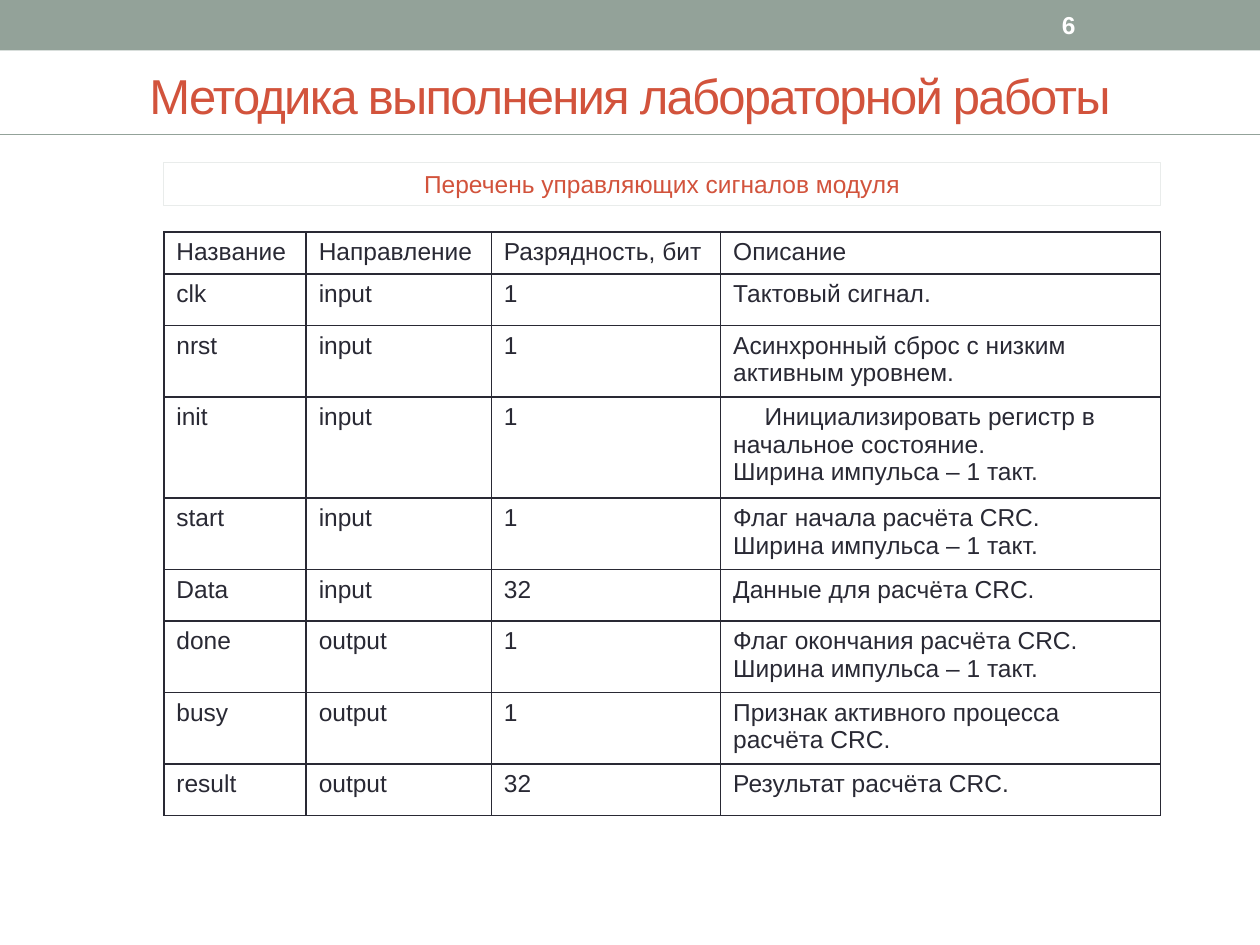
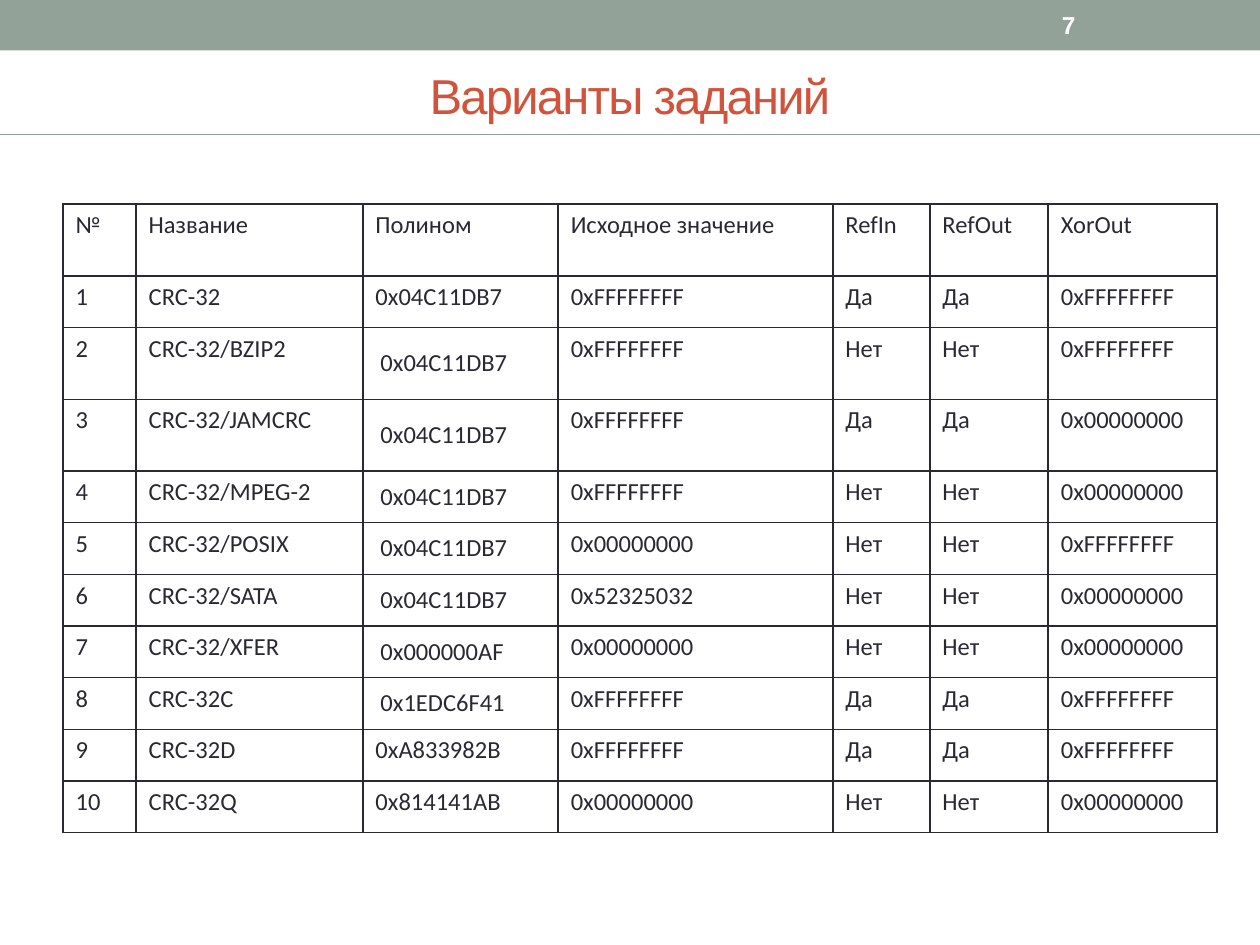
"""Build two slides of a CRC laboratory course: module signals and task variants."""
from lxml.etree import SubElement
from pptx import Presentation
from pptx.dml.color import RGBColor
from pptx.enum.shapes import MSO_CONNECTOR, MSO_SHAPE
from pptx.enum.text import MSO_ANCHOR, MSO_AUTO_SIZE, PP_ALIGN
from pptx.oxml.ns import qn
from pptx.util import Inches, Pt

SAGE = RGBColor(0x93, 0xA2, 0x99)
BRICK = RGBColor(0xD2, 0x53, 0x3C)
INK = RGBColor(0x29, 0x29, 0x34)
PALE = RGBColor(0xE9, 0xEC, 0xEB)
WHITE = RGBColor(0xFF, 0xFF, 0xFF)

TITLE_FONT = {"name": "Arial", "size": Pt(28), "bold": False}
NUMBER_FONT = {"name": "Arial", "size": Pt(14), "bold": True}
CAPTION_FONT = {"name": "Arial", "size": Pt(14), "bold": False}
POLYNOMIAL_INSET = {
    "margin_left": Inches(0.14), "margin_right": Inches(0.14),
    "margin_top": 0, "margin_bottom": 0, "vertical_anchor": MSO_ANCHOR.MIDDLE,
}

PULSE = "Ширина импульса – 1 такт."
SIGNALS = [
    ("Название", "Направление", "Разрядность, бит", "Описание"),
    ("clk", "input", "1", "Тактовый сигнал."),
    ("nrst", "input", "1", "Асинхронный сброс с низким активным уровнем."),
    ("init", "input", "1", f"Инициализировать регистр в начальное состояние. \n{PULSE}"),
    ("start", "input", "1", f"Флаг начала расчёта CRC. \n{PULSE}"),
    ("Data", "input", "32", "Данные для расчёта CRC."),
    ("done", "output", "1", f"Флаг окончания расчёта CRC. \n{PULSE}"),
    ("busy", "output", "1", "Признак активного процесса расчёта CRC."),
    ("result", "output", "32", "Результат расчёта CRC."),
]
ONES, ZEROS, COMMON = "0xFFFFFFFF", "0x00000000", "0x04C11DB7"
VARIANTS = [
    ("№", "Название", "Полином", "Исходное значение", "RefIn", "RefOut", "XorOut"),
    ("1", "CRC-32", COMMON, ONES, "Да", "Да", ONES),
    ("2", "CRC-32/BZIP2", COMMON, ONES, "Нет", "Нет", ONES),
    ("3", "CRC-32/JAMCRC", COMMON, ONES, "Да", "Да", ZEROS),
    ("4", "CRC-32/MPEG-2", COMMON, ONES, "Нет", "Нет", ZEROS),
    ("5", "CRC-32/POSIX", COMMON, ZEROS, "Нет", "Нет", ONES),
    ("6", "CRC-32/SATA", COMMON, "0x52325032", "Нет", "Нет", ZEROS),
    ("7", "CRC-32/XFER", "0x000000AF", ZEROS, "Нет", "Нет", ZEROS),
    ("8", "CRC-32C", "0x1EDC6F41", ONES, "Да", "Да", ONES),
    ("9", "CRC-32D", "0xA833982B", ONES, "Да", "Да", ONES),
    ("10", "CRC-32Q", "0x814141AB", ZEROS, "Нет", "Нет", ZEROS),
]
PAGES = [
    {"number": "6", "title": "Методика выполнения лабораторной работы",
     "rows": SIGNALS, "left": 1.3, "top": 1.84, "font": "Arial",
     "widths": [1.13, 1.47, 1.82, 3.49],
     "heights": [0.32, 0.41, 0.54, 0.76, 0.54, 0.41, 0.54, 0.54, 0.41]},
    {"number": "7", "title": "Варианты заданий",
     "rows": VARIANTS, "left": 0.5, "top": 1.62, "font": "Calibri",
     "widths": [0.58, 1.8, 1.55, 2.18, 0.77, 0.94, 1.34],
     "heights": [0.57, 0.41, 0.57, 0.57] + [0.41] * 7},
]


def write(frame, text, color, font_format, align=PP_ALIGN.LEFT):
    """Fill the first paragraph of a frame and format its runs and breaks."""
    paragraph = frame.paragraphs[0]
    paragraph.text = text
    paragraph.alignment = align
    for run in paragraph.runs:
        run.font.color.rgb = color
        for attribute, value in font_format.items():
            setattr(run.font, attribute, value)
    for line_break in paragraph._p.findall(qn("a:br")):
        SubElement(line_break, qn("a:rPr"), sz=str(int(font_format["size"].pt * 100)))
    return paragraph


def outline(cell, color):
    """Draw a one-point border on all four sides of a cell."""
    properties = cell._tc.get_or_add_tcPr()
    for side in ("lnL", "lnR", "lnT", "lnB"):
        border = SubElement(properties, qn(f"a:{side}"), w=str(Pt(1)))
        fill = SubElement(border, qn("a:solidFill"))
        SubElement(fill, qn("a:srgbClr"), val=str(color))


deck = Presentation()
deck.slide_width, deck.slide_height = Inches(10), Inches(7.5)
title_only = deck.slide_layouts[5]

for page in PAGES:
    slide = deck.slides.add_slide(title_only)
    shapes = slide.shapes

    band = shapes.add_shape(MSO_SHAPE.RECTANGLE, 0, 0, Inches(10), Inches(0.4))
    band.shadow.inherit = False
    band.fill.solid()
    band.fill.fore_color.rgb = SAGE
    band.line.fill.background()

    heading = shapes.title
    heading.left, heading.top = Inches(0), Inches(0.44)
    heading.width, heading.height = Inches(10), Inches(0.63)
    heading.text_frame.auto_size = MSO_AUTO_SIZE.NONE
    heading.text_frame.vertical_anchor = MSO_ANCHOR.MIDDLE
    title_line = write(heading.text_frame, page["title"], BRICK, TITLE_FONT, PP_ALIGN.CENTER)
    title_line.runs[0].font._element.set("spc", "-100")

    rule = shapes.add_connector(
        MSO_CONNECTOR.STRAIGHT, Inches(10), Inches(1.07), Inches(0), Inches(1.07))
    rule.line.color.rgb = SAGE
    rule.line.width = Pt(0.75)
    SubElement(rule._element.spPr, qn("a:effectLst"))

    page_number = shapes.add_textbox(Inches(8.33), Inches(0.02), Inches(1.17), Inches(0.36))
    page_number.text_frame.word_wrap = True
    page_number.text_frame.vertical_anchor = MSO_ANCHOR.MIDDLE
    write(page_number.text_frame, page["number"], WHITE, NUMBER_FONT)

    rows, widths, heights = page["rows"], page["widths"], page["heights"]
    grid = shapes.add_table(
        len(rows), len(widths), Inches(page["left"]), Inches(page["top"]),
        Inches(sum(widths)), Inches(sum(heights))).table
    grid.first_row = grid.horz_banding = False
    for column, width in zip(grid.columns, widths):
        column.width = Inches(width)
    for row, height in zip(grid.rows, heights):
        row.height = Inches(height)

    cell_font = {"name": page["font"], "size": Pt(14), "bold": False}
    for row, values in zip(grid.rows, rows):
        for cell, value in zip(row.cells, values):
            outline(cell, INK)
            cell.fill.background()
            write(cell.text_frame, value, INK, cell_font)

    if rows is SIGNALS:
        init_description = grid.cell(3, 3).text_frame.paragraphs[0]
        init_description._p.get_or_add_pPr().set("indent", str(Inches(0.25)))
        caption = shapes.add_shape(
            MSO_SHAPE.RECTANGLE, Inches(1.3), Inches(1.29), Inches(7.91), Inches(0.34))
        caption.shadow.inherit = False
        caption.fill.background()
        caption.line.color.rgb = PALE
        caption.line.width = Pt(0.75)
        write(caption.text_frame, "Перечень управляющих сигналов модуля",
              BRICK, CAPTION_FONT, PP_ALIGN.CENTER)
    else:
        for variant in range(2, 9):
            polynomial = grid.cell(variant, 2)
            for attribute, value in POLYNOMIAL_INSET.items():
                setattr(polynomial, attribute, value)

deck.save("out.pptx")
